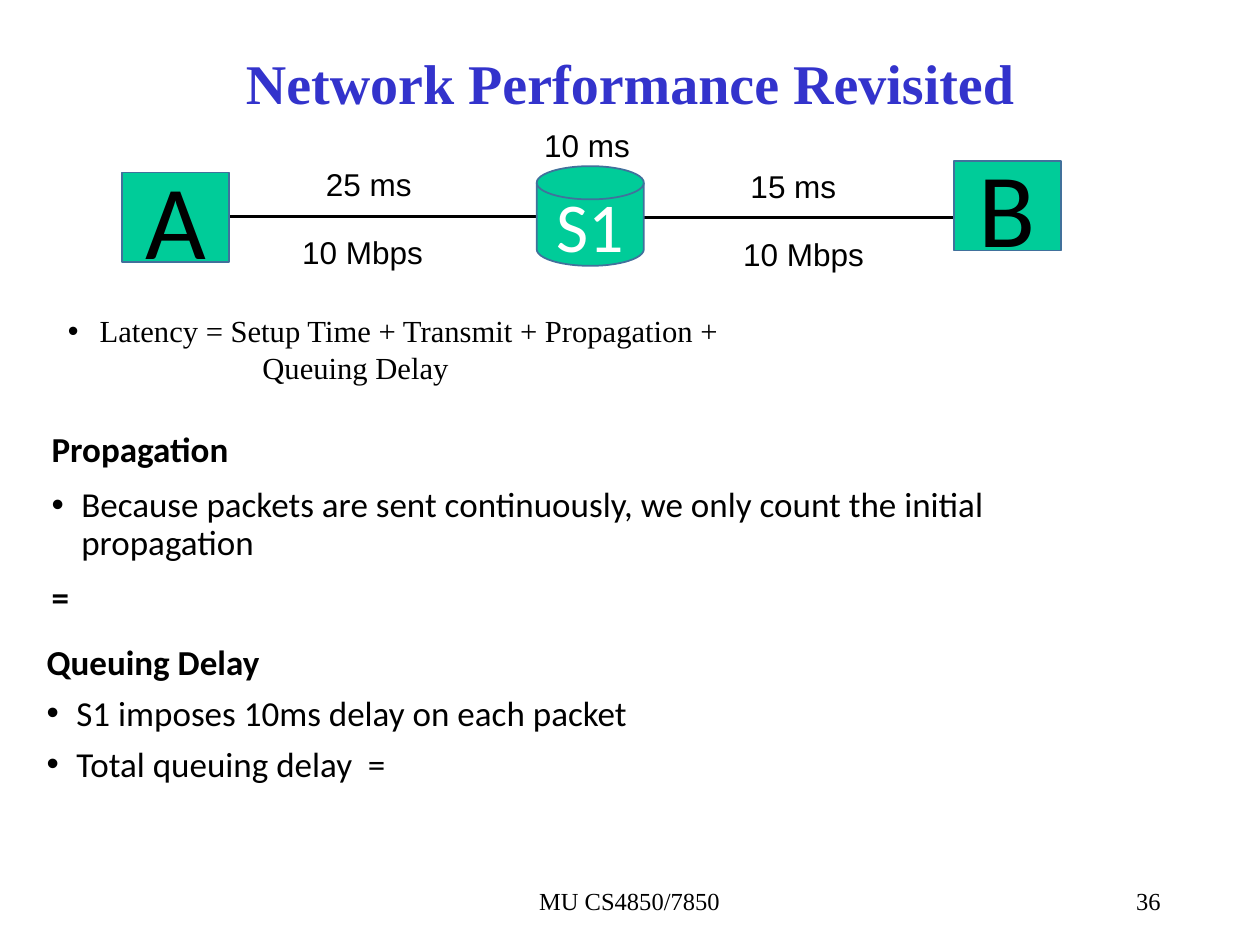
from lxml import etree
from pptx import Presentation
from pptx.dml.color import RGBColor
from pptx.enum.shapes import MSO_CONNECTOR, MSO_SHAPE
from pptx.enum.text import MSO_ANCHOR, MSO_AUTO_SIZE, PP_ALIGN
from pptx.oxml.ns import qn
from pptx.util import Cm, Pt

LEFT, CENTER, RIGHT = PP_ALIGN.LEFT, PP_ALIGN.CENTER, PP_ALIGN.RIGHT
TOP, MIDDLE = MSO_ANCHOR.TOP, MSO_ANCHOR.MIDDLE
BOX, DISK = MSO_SHAPE.FLOWCHART_PROCESS, MSO_SHAPE.FLOWCHART_MAGNETIC_DISK
STRAIGHT = MSO_CONNECTOR.STRAIGHT
FIT_SHAPE = MSO_AUTO_SIZE.SHAPE_TO_FIT_TEXT
rgb = RGBColor.from_string

SERIF, SANS, BODY = "Times New Roman", "Arial", "Calibri"
BLACK, WHITE, BLUE, GREEN, OUTLINE = "000000", "FFFFFF", "3333CC", "00CC99", "41719C"


def write(shape, lines, font, size, color=BLACK, anchor=TOP, wrap=True, bold=False, **layout):
    """Fill a shape with paragraphs; layout holds paragraph attributes."""
    frame = shape.text_frame
    frame.word_wrap, frame.vertical_anchor = wrap, anchor
    for index, line in enumerate(lines):
        paragraph = frame.paragraphs[0] if index == 0 else frame.add_paragraph()
        paragraph.text = line
        for name, value in layout.items():
            setattr(paragraph, name, value)
        for run in paragraph.runs:
            for name, value in {"name": font, "size": Pt(size), "bold": bold}.items():
                setattr(run.font, name, value)
            run.font.color.rgb = rgb(color)
    return frame.paragraphs


def add_bullet(paragraph, indent):
    properties = paragraph._p.get_or_add_pPr()
    properties.set("marL", str(indent))
    properties.set("indent", str(-indent))
    etree.SubElement(properties, qn("a:buFont")).set("typeface", "Arial")
    etree.SubElement(properties, qn("a:buChar")).set("char", "•")
    return properties


presentation = Presentation()
presentation.slide_width, presentation.slide_height = Cm(25.4), Cm(19.05)
shapes = presentation.slides.add_slide(presentation.slide_layouts[6]).shapes

# Title and footer
for text, area, size, color, bold, align in (
    ("Network Performance Revisited", (1.75, 0.46, 21.92, 2.39), 32, BLUE, True, CENTER),
    ("MU CS4850/7850", (8.41, 17.65, 8.56, 1.02), 14, BLACK, False, CENTER),
    ("36", (17.93, 17.65, 5.72, 1.02), 14, BLACK, False, RIGHT),
):
    write(shapes.add_textbox(*map(Cm, area)), [text], SERIF, size, color,
          MIDDLE, bold=bold, alignment=align)

# Links between the hosts and the switch
for start, end, y in ((4.6, 10.82, 4.37), (12.29, 20.57, 4.39)):
    link = shapes.add_connector(STRAIGHT, Cm(start), Cm(y), Cm(end), Cm(y))
    link.line.color.rgb = rgb(BLACK)
    link.line.width = Pt(1.5)
    etree.SubElement(link._element.spPr, qn("a:effectLst"))

# Switch and hosts
for name, kind, left, top, height, size, color in (
    ("S1", DISK, 10.82, 3.35, 2.01, 40, WHITE),
    ("A", BOX, 2.46, 3.48, 1.8, 60, BLACK),
    ("B", BOX, 19.23, 3.25, 1.8, 60, BLACK),
):
    node = shapes.add_shape(kind, Cm(left), Cm(top), Cm(2.16), Cm(height))
    node.shadow.inherit = False
    node.fill.solid()
    node.fill.fore_color.rgb = rgb(GREEN)
    node.line.color.rgb = rgb(OUTLINE)
    node.line.width = Pt(1)
    write(node, [name], BODY, size, color, MIDDLE, alignment=CENTER)

# Delays and bandwidths
for text, left, top, width in (
    ("25 ms", 6.32, 3.2, 2.24),
    ("15 ms", 14.88, 3.25, 2.24),
    ("10 ms", 10.72, 2.41, 2.24),
    ("10 Mbps", 5.84, 4.57, 2.95),
    ("10 Mbps", 14.73, 4.62, 2.95),
):
    label = shapes.add_textbox(Cm(left), Cm(top), Cm(width), Cm(1.02))
    write(label, [text], SANS, 18, wrap=False, alignment=LEFT)
    label.text_frame.auto_size = FIT_SHAPE

# Latency formula, its second line set at a tab stop
formula = shapes.add_textbox(Cm(1.12), Cm(6.17), Cm(23.19), Cm(1.8))
latency, = write(formula, ["Latency = Setup Time + Transmit + Propagation +\v\tQueuing Delay"],
                 SERIF, 17.5, space_before=Pt(7))
tabs = etree.SubElement(add_bullet(latency, Cm(0.64)), qn("a:tabLst"))
etree.SubElement(tabs, qn("a:tab"), pos=str(Cm(3.92)), algn="l")

# Explanations: headings are bold, the rest is bulleted
for area, spacing, lines, bold_lines in (
    ((0.79, 8.59, 22.81, 4.72), 0.9,
     ["Propagation",
      "Because packets are sent continuously, we only count the initial propagation",
      "="], (0, 2)),
    ((0.69, 12.95, 24.13, 3.81), 0.8,
     ["Queuing Delay",
      "S1 imposes 10ms delay on each packet",
      "Total queuing delay  ="], (0,)),
):
    paragraphs = write(shapes.add_textbox(*map(Cm, area)), lines, BODY, 20,
                       line_spacing=spacing, space_before=Pt(10))
    for index, paragraph in enumerate(paragraphs):
        if index in bold_lines:
            paragraph.runs[0].font.bold = True
        else:
            add_bullet(paragraph, Cm(0.6))

presentation.save("out.pptx")
